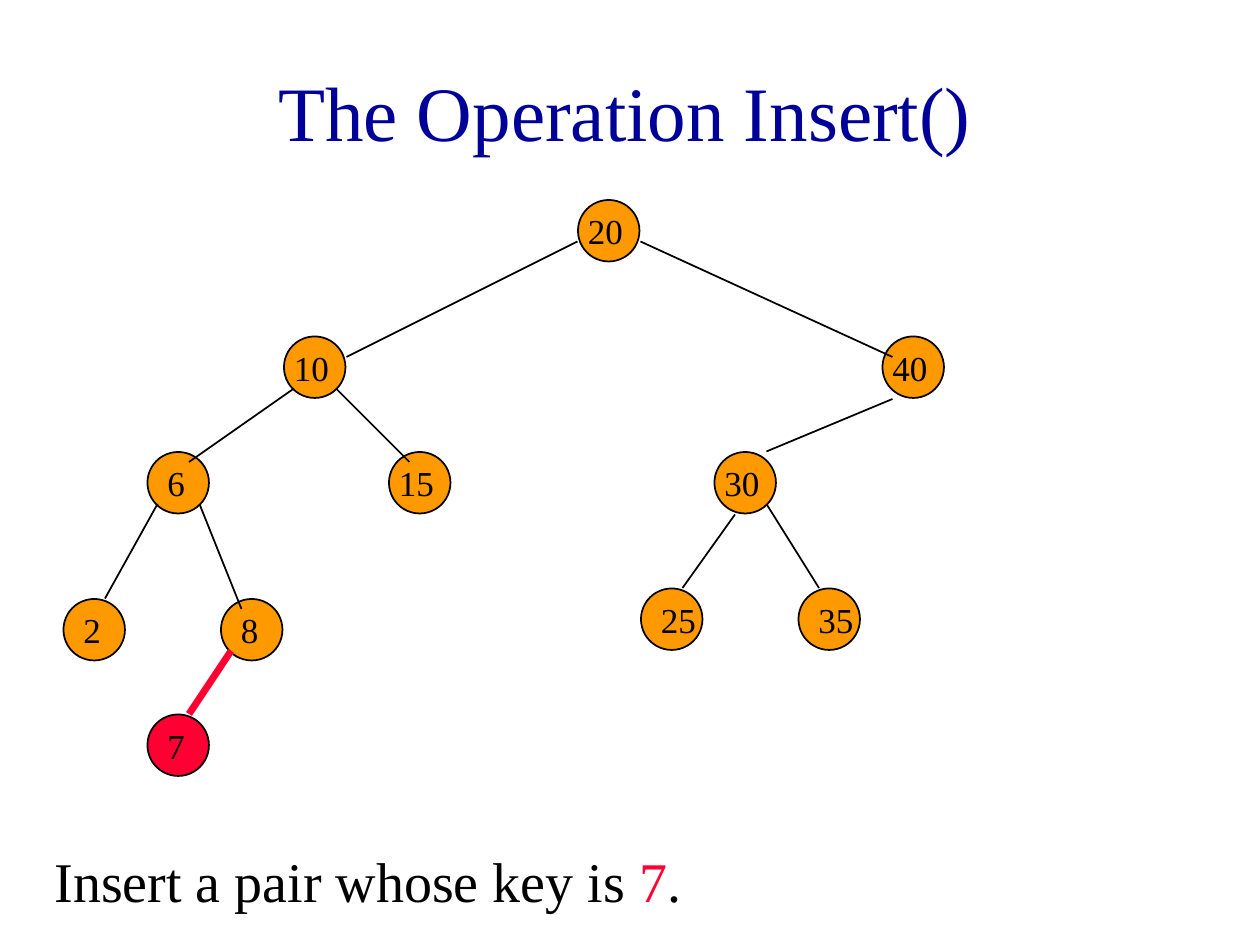
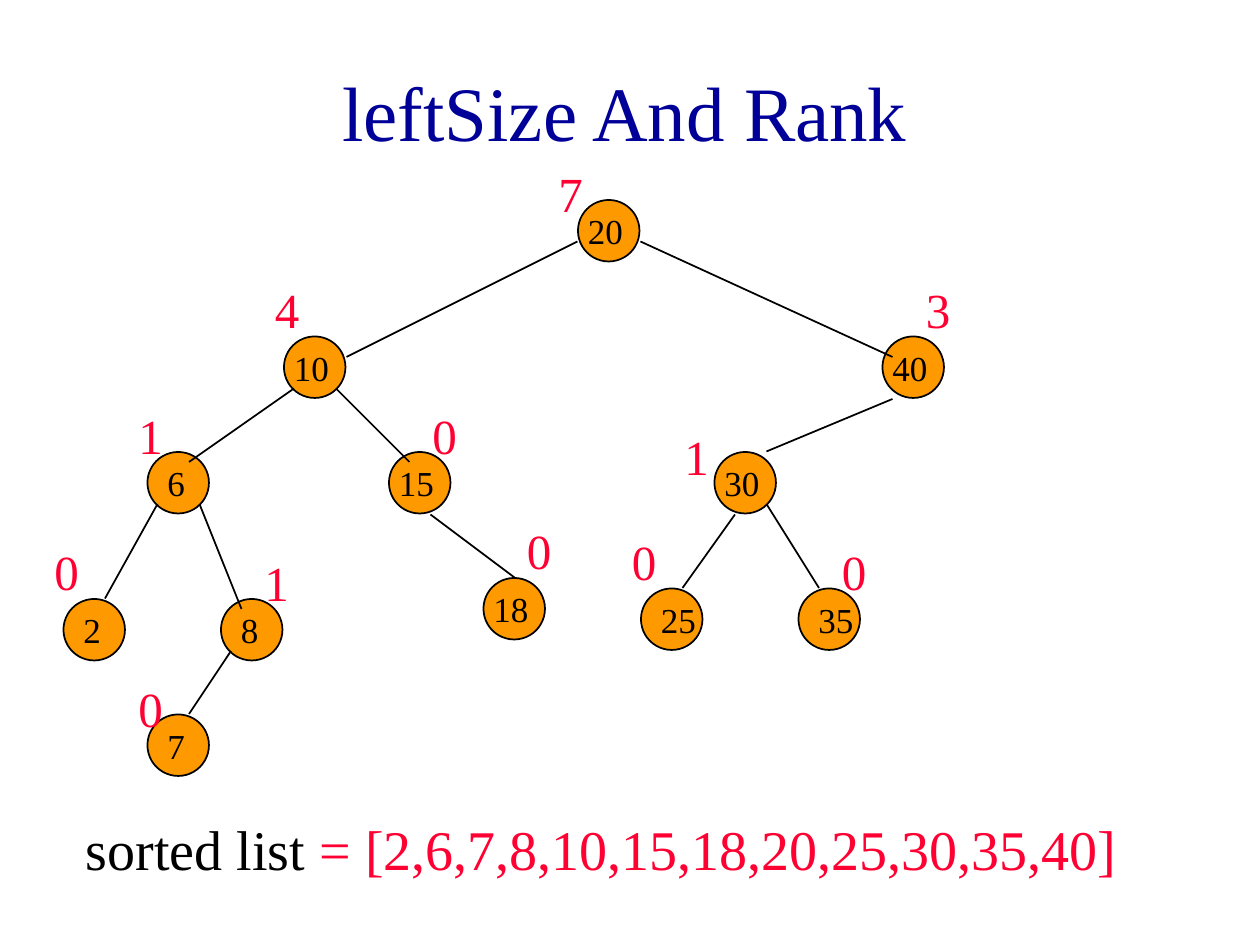
import pptx
import pptx.util
import pptx.dml.color
import pptx.enum.shapes
import pptx.enum.text
import pptx.oxml.ns
import lxml.etree
from dataclasses import dataclass

Cm, Pt = pptx.util.Cm, pptx.util.Pt


@dataclass(frozen=True)
class Theme:
    font: str = "Times New Roman"
    navy: str = "000099"
    ink: str = "000000"
    orange: str = "FF9900"
    red: str = "FF0033"
    title_size: int = 44
    caption_size: int = 32
    rank_size: int = 28
    key_size: int = 20
    thin: float = 0.99
    thick: float = 4


THEME = Theme()

# Everything sits on a grid of twelve steps to the inch; boxes are in steps.
STEP = 2.54 / 12
TITLE_BOX = (1, 3, 117, 15)
TREE_BOX = (6, 19)

# Key: left and top of its circle within the tree box
NODES = {
    20: (49, 0), 10: (21, 13), 40: (78, 13), 6: (8, 24), 15: (31, 24),
    30: (62, 24), 2: (0, 38), 8: (15, 38), 25: (55, 37), 35: (70, 37),
    7: (8, 49), 18: (40, 36),
}
# Parent and child: start and end of the branch within the tree box
BRANCHES = {
    (20, 10): (49, 4, 27, 15), (20, 40): (55, 4, 79, 15),
    (10, 6): (22, 18, 12, 25), (10, 15): (26, 18, 33, 25),
    (40, 30): (79, 19, 67, 24), (6, 2): (9, 29, 4, 38),
    (6, 8): (13, 29, 17, 39), (30, 25): (64, 30, 59, 37),
    (30, 35): (67, 29, 72, 37), (8, 7): (16, 43, 12, 49),
    (15, 18): (35, 30, 43, 36),
}
# Key: left size, then offset of that number from the circle
LEFT_SIZES = {
    20: (7, -3, -4), 10: (4, -2, -6), 40: (3, 3, -6), 6: (1, -2, -5),
    15: (0, 3, -5), 30: (1, -4, -3), 2: (0, -2, -6), 8: (1, 3, -5),
    25: (0, -2, -6), 35: (0, 3, -5), 7: (0, -2, -4), 18: (0, 3, -6),
}
INDENTED_KEYS = (25, 35)


def steps(count):
    return Cm(count * STEP)


def rgb(code):
    return pptx.dml.color.RGBColor.from_string(code)


def add_text(shapes, box, spans, size, before=0, wrap=True, centred=False):
    """Place one paragraph of (text, colour) spans in a box given as lengths."""
    frame = shapes.add_textbox(*box).text_frame
    frame.word_wrap = wrap
    para = frame.paragraphs[0]
    para.font.name = THEME.font
    para.font.size = Pt(size)
    para.space_before = Pt(before)
    if centred:
        para.alignment = pptx.enum.text.PP_ALIGN.CENTER
        frame.vertical_anchor = pptx.enum.text.MSO_ANCHOR.MIDDLE
    for text, colour in spans:
        span = para.add_run()
        span.text = text
        span.font.color.rgb = rgb(colour)


def add_title(page, box, text):
    add_text(page.shapes, [steps(n) for n in box], [(text, THEME.navy)],
             THEME.title_size, centred=True)


def add_caption(page, box, spans):
    add_text(page.shapes, [steps(n) for n in box], spans,
             THEME.caption_size, before=20)


def add_circle(shapes, origin, key, fill):
    left, top = (steps(a + b) for a, b in zip(origin, NODES[key]))
    circle = shapes.add_shape(pptx.enum.shapes.MSO_SHAPE.OVAL,
                              left + Cm(0.01), top + Cm(0.01), Cm(1.24), Cm(1.24))
    circle.shadow.inherit = False
    circle.fill.solid()
    circle.fill.fore_color.rgb = rgb(fill)
    circle.line.color.rgb = rgb(THEME.ink)
    circle.line.width = Pt(THEME.thin)


def add_key(shapes, origin, key):
    left, top = (steps(a + b) for a, b in zip(origin, NODES[key]))
    single = key < 10
    shift = Cm(0.16) if single or key in INDENTED_KEYS else Cm(-0.04)
    add_text(shapes, (left + shift, top + Cm(0.08), Cm(0.86 if single else 1.22), Cm(1.09)),
             [(str(key), THEME.ink)], THEME.key_size, wrap=False)


def add_branch(shapes, origin, ends, colour, width):
    x, y = origin
    x1, y1, x2, y2 = ends
    branch = shapes.add_connector(pptx.enum.shapes.MSO_CONNECTOR.STRAIGHT,
                                  steps(x + x1), steps(y + y1), steps(x + x2), steps(y + y2))
    branch.line.color.rgb = rgb(colour)
    branch.line.width = Pt(width)
    properties = branch._element.find(pptx.oxml.ns.qn("p:spPr"))
    lxml.etree.SubElement(properties, pptx.oxml.ns.qn("a:effectLst"))


def add_tree(shapes, origin, keys, fill=THEME.orange, colour=THEME.ink, width=THEME.thin):
    """Draw the circles of the keys, the branches that reach them, and the keys."""
    for key in keys:
        add_circle(shapes, origin, key, fill)
    for (_, child), ends in BRANCHES.items():
        if child in keys:
            add_branch(shapes, origin, ends, colour, width)
    for key in keys:
        add_key(shapes, origin, key)


def add_left_sizes(shapes, origin):
    for key, (size, right, down) in LEFT_SIZES.items():
        left, top = (a + b for a, b in zip(origin, NODES[key]))
        add_text(shapes, (steps(left + right), steps(top + down), steps(3), Cm(1.45)),
                 [(str(size), THEME.red)], THEME.rank_size, before=17.5)


def build_insert_page(page):
    add_title(page, TITLE_BOX, "The Operation Insert()")
    add_caption(page, (4, 80, 108, 7.5), [
        ("Insert a pair whose key is ", THEME.ink), ("7", THEME.red), (".", THEME.ink)])
    # The tree before the insertion, then the new node
    old_keys = [key for key in NODES if key not in (7, 18)]
    add_tree(page.shapes.add_group_shape().shapes, TREE_BOX, old_keys)
    add_tree(page.shapes, TREE_BOX, [7], THEME.red, THEME.red, THEME.thick)


def build_rank_page(page):
    add_title(page, TITLE_BOX, "leftSize And Rank")
    add_tree(page.shapes, TREE_BOX, list(NODES))
    add_left_sizes(page.shapes, TREE_BOX)
    ranking = ",".join(str(key) for key in sorted(NODES))
    add_caption(page, (7, 77, 109, 7.5), [
        ("sorted list", THEME.ink), (f" = [{ranking}]", THEME.red)])


deck = pptx.Presentation()
deck.slide_width, deck.slide_height = Cm(25.4), Cm(19.05)
for build in (build_insert_page, build_rank_page):
    build(deck.slides.add_slide(deck.slide_layouts[6]))
deck.save("out.pptx")
